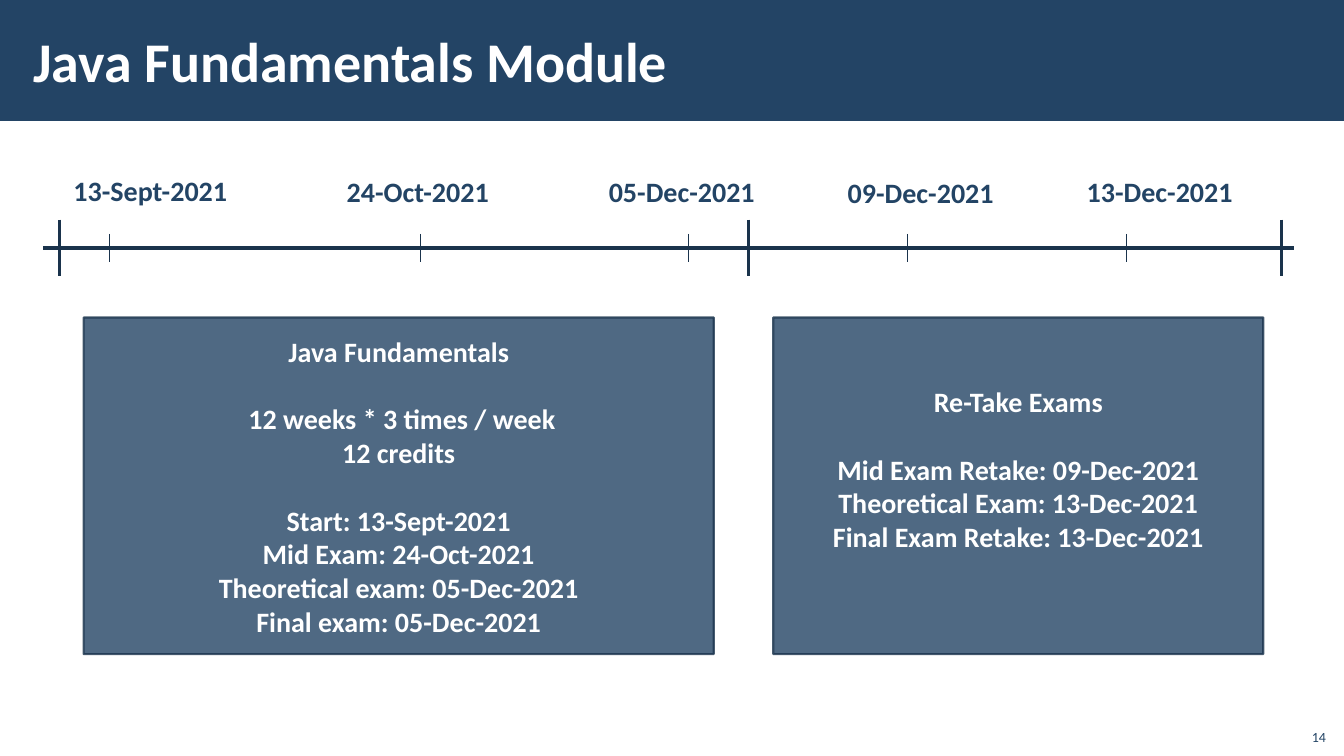
from lxml.etree import SubElement
from pptx import Presentation
from pptx.dml.color import RGBColor
from pptx.enum.shapes import MSO_CONNECTOR, MSO_SHAPE
from pptx.enum.text import MSO_ANCHOR, PP_ALIGN
from pptx.oxml.ns import qn
from pptx.util import Inches, Pt

NAVY = "234465"
DARK = "1A334C"
WHITE = "FFFFFF"
FONT = "Calibri"
LINE_HEIGHT = 24.4  # points, one line of 20 pt text
AXIS_Y = 2.46

MILESTONES = [  # date, label left, label top, label width, tick x
    ("13-Sept-2021", 0.63, 1.67, 1.75, 1.08),
    ("24-Oct-2021", 3.34, 1.68, 1.63, 4.17),
    ("05-Dec-2021", 5.94, 1.68, 1.66, 6.83),
    ("09-Dec-2021", 8.31, 1.69, 1.66, 9),
    ("13-Dec-2021", 10.68, 1.68, 1.66, 11.17),
]
PERIOD_BOUNDS = [0.59, 7.42, 12.71]

COURSE = [
    ["Java Fundamentals"],
    [" 12 weeks * 3 times / week", "12 credits"],
    ["Start: 13-Sept-2021", "Mid Exam: 24-Oct-2021",
     "Theoretical exam: 05-Dec-2021", "Final exam: 05-Dec-2021"],
]
RETAKES = [
    ["Re-Take Exams"],
    ["Mid Exam Retake: 09-Dec-2021", "Theoretical Exam: 13-Dec-2021",
     "Final Exam Retake: 13-Dec-2021"],
]


def rgb(color):
    return RGBColor.from_string(color)


def style(paragraph, size, color, bold=True, align=PP_ALIGN.LEFT):
    paragraph.alignment = align
    for run in paragraph.runs:
        run.font.name = FONT
        run.font.size = Pt(size)
        run.font.bold = bold
        run.font.color.rgb = rgb(color)


def add_label(slide, text, left, top, width, height, size, color, bold=True,
              align=PP_ALIGN.LEFT, anchor=MSO_ANCHOR.TOP, wrap=True, side_inset=0.1):
    label = slide.shapes.add_textbox(Inches(left), Inches(top), Inches(width), Inches(height))
    frame = label.text_frame
    frame.word_wrap = wrap
    frame.vertical_anchor = anchor
    frame.margin_left = frame.margin_right = Inches(side_inset)
    frame.text = text
    style(frame.paragraphs[0], size, color, bold, align)


def add_line(slide, x1, y1, x2, y2, weight):
    line = slide.shapes.add_connector(
        MSO_CONNECTOR.STRAIGHT, Inches(x1), Inches(y1), Inches(x2), Inches(y2))
    line.line.color.rgb = rgb(DARK)
    line.line.width = Pt(weight)
    SubElement(line._element.spPr, qn("a:effectLst"))


def add_tick(slide, x, length, weight):
    add_line(slide, x, AXIS_Y - length / 2, x, AXIS_Y + length / 2, weight)


def add_rectangle(slide, left, top, width, height):
    rectangle = slide.shapes.add_shape(
        MSO_SHAPE.RECTANGLE, Inches(left), Inches(top), Inches(width), Inches(height))
    rectangle.shadow.inherit = False
    rectangle.fill.solid()
    rectangle.fill.fore_color.rgb = rgb(NAVY)
    rectangle.line.fill.background()
    return rectangle


def add_card(slide, left, width, groups, bottom_inset=0.05):
    """Translucent box whose groups of lines are one line height apart."""
    card = add_rectangle(slide, left, 3.15, width, 3.34)
    card.line.color.rgb = rgb(DARK)
    card.line.width = Pt(1.5)
    for color in card._element.spPr.iter(qn("a:srgbClr")):
        SubElement(color, qn("a:alpha"), val="80000")

    frame = card.text_frame
    frame.word_wrap = True
    frame.vertical_anchor = MSO_ANCHOR.MIDDLE
    frame.margin_bottom = Inches(bottom_inset)
    frame.text = "\n".join(line for group in groups for line in group)
    for paragraph in frame.paragraphs:
        style(paragraph, 20, WHITE, align=PP_ALIGN.CENTER)
    first = 0
    for group in groups[:-1]:
        first += len(group)
        frame.paragraphs[first].space_before = Pt(LINE_HEIGHT)


def add_timeline(slide):
    add_line(slide, 0.43, AXIS_Y, 12.83, AXIS_Y, 2.25)
    for x in PERIOD_BOUNDS:
        add_tick(slide, x, 0.56, 2.25)
    for date, left, top, width, x in MILESTONES:
        add_tick(slide, x, 0.28, 0.5)
        add_label(slide, date, left, top, width, 0.44, 20, NAVY, wrap=False)


def main():
    deck = Presentation()
    deck.slide_width = Inches(13.33)
    deck.slide_height = Inches(7.5)
    slide = deck.slides.add_slide(deck.slide_layouts[6])

    add_rectangle(slide, 0, 0, 13.33, 1.2)
    add_label(slide, "Java Fundamentals Module", 0.21, 0.11, 10.63, 0.97, 40, WHITE,
              anchor=MSO_ANCHOR.MIDDLE, side_inset=0.12)
    add_timeline(slide)
    add_card(slide, 0.83, 6.25, COURSE)
    add_card(slide, 7.67, 4.86, RETAKES, bottom_inset=0.39)
    add_label(slide, "14", 12.85, 7.12, 0.4, 0.32, 10, NAVY, bold=False,
              align=PP_ALIGN.RIGHT, anchor=MSO_ANCHOR.BOTTOM)
    deck.save("out.pptx")


if __name__ == "__main__":
    main()
